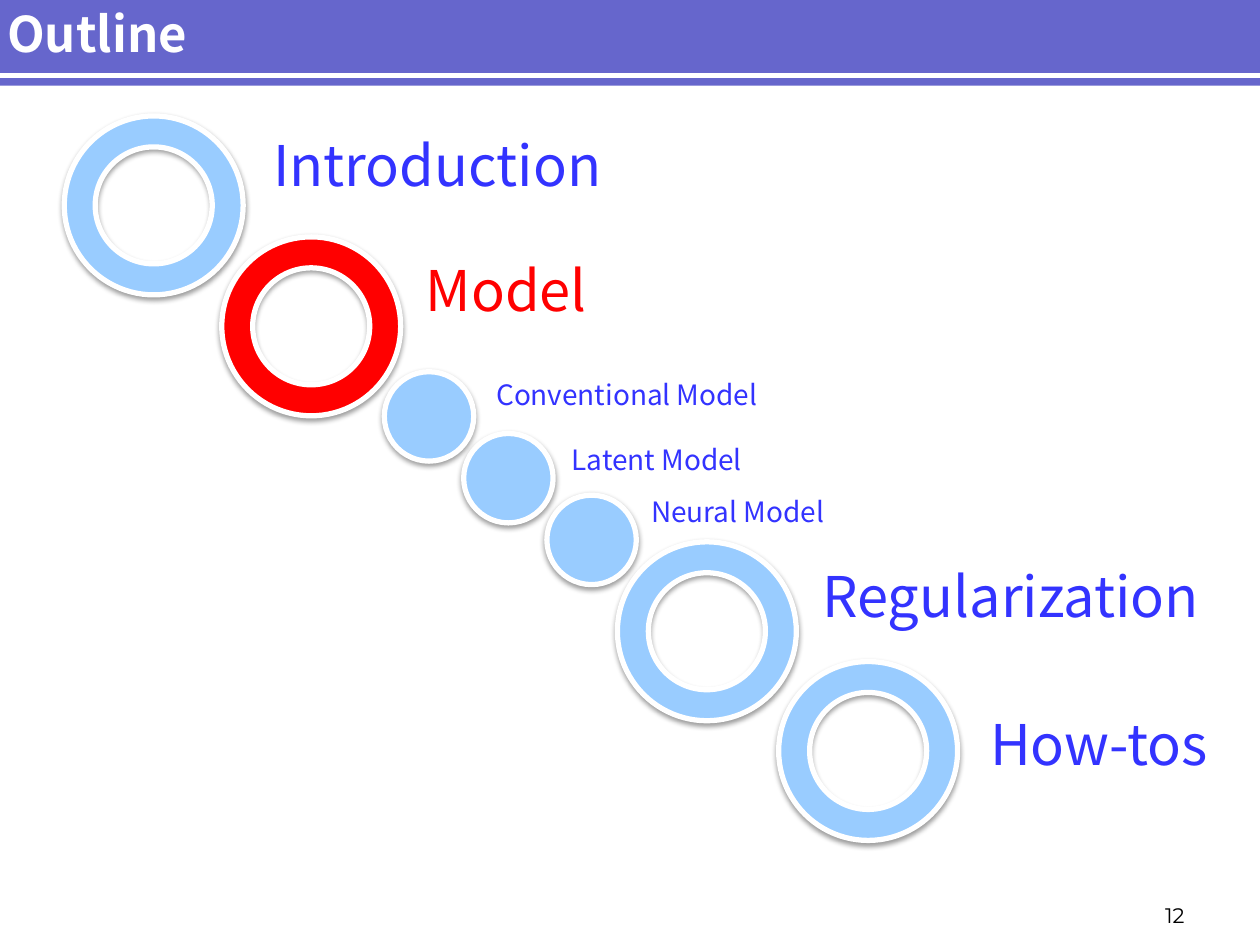
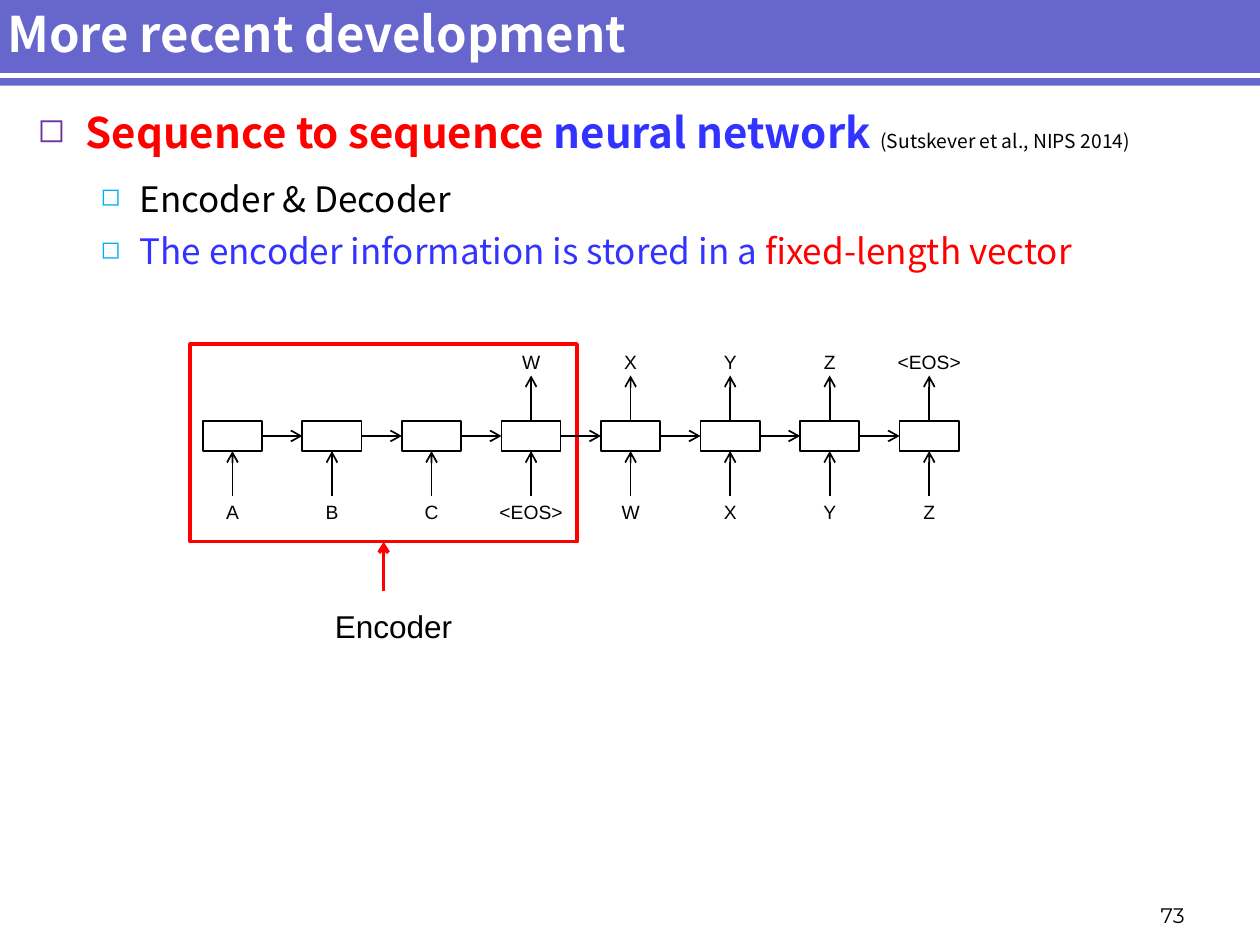
from lxml import etree
from pptx import Presentation
from pptx.dml.color import RGBColor
from pptx.enum.shapes import MSO_CONNECTOR, MSO_SHAPE
from pptx.enum.text import MSO_ANCHOR, PP_ALIGN
from pptx.oxml.ns import qn
from pptx.util import Inches, Pt

RECTANGLE, DONUT, OVAL = MSO_SHAPE.RECTANGLE, MSO_SHAPE.DONUT, MSO_SHAPE.OVAL
STRAIGHT = MSO_CONNECTOR.STRAIGHT
TOP, MIDDLE, BOTTOM = MSO_ANCHOR.TOP, MSO_ANCHOR.MIDDLE, MSO_ANCHOR.BOTTOM
LEFT, CENTER, RIGHT = PP_ALIGN.LEFT, PP_ALIGN.CENTER, PP_ALIGN.RIGHT
SIDE_TOP, SIDE_LEFT, SIDE_BOTTOM, SIDE_RIGHT = range(4)

WHITE = RGBColor(0xFF, 0xFF, 0xFF)
BLACK = RGBColor(0, 0, 0)
RED = RGBColor(0xFF, 0, 0)
BLUE = RGBColor(0x33, 0x33, 0xFF)
SKY = RGBColor(0x99, 0xCC, 0xFF)
BAND = RGBColor(0x66, 0x66, 0xCC)
PURPLE = RGBColor(0x70, 0x30, 0xA0)
CYAN = RGBColor(0, 0xB0, 0xF0)

HEADING_FONT = "Noto Sans CJK SC"
OUTLINE_FONT = "Noto Sans CJK JP"
NUMBER_FONT = "Montserrat"
DIAGRAM_FONT = "Arial"
TIGHT = 0.9


def add_xml(parent, tag, **attributes):
    return etree.SubElement(parent, qn(tag), attributes)


def style_run(run, font, size, color, bold=False):
    run.font.name = font
    run.font.size = Pt(size)
    run.font.color.rgb = color
    run.font.bold = bold


def add_text(slide, box, text, font, size, color, bold=False,
             align=LEFT, anchor=TOP, spacing=1.0):
    frame = slide.shapes.add_textbox(*map(Inches, box)).text_frame
    frame.word_wrap = True
    frame.vertical_anchor = anchor
    paragraph = frame.paragraphs[0]
    paragraph.text = text
    paragraph.alignment = align
    paragraph.line_spacing = spacing
    style_run(paragraph.runs[0], font, size, color, bold)


def add_outlined(slide, kind, box, fill, line, width):
    shape = slide.shapes.add_shape(kind, *map(Inches, box))
    shape.shadow.inherit = False
    if fill is None:
        shape.fill.background()
    else:
        shape.fill.solid()
        shape.fill.fore_color.rgb = fill
    if line is None:
        shape.line.fill.background()
    else:
        shape.line.color.rgb = line
        shape.line.width = Pt(width)
    return shape


def add_line(slide, start, end, color, width, arrow=True):
    line = slide.shapes.add_connector(STRAIGHT, *map(Inches, (*start, *end)))
    line.line.color.rgb = color
    line.line.width = Pt(width)
    if arrow:
        add_xml(line.line._get_or_add_ln(), "a:tailEnd", type="arrow")
    add_xml(line._element.spPr, "a:effectLst")
    return line


def add_slide(deck, title, number):
    slide = deck.slides.add_slide(deck.slide_layouts[6])
    add_outlined(slide, RECTANGLE, (-0.04, -0.03, 10.04, 0.71), BAND, None, 0)
    add_line(slide, (-0.04, 0.6), (10, 0.6), WHITE, 3, arrow=False)
    add_text(slide, (-0.04, 0.05, 10, 0.43), title, HEADING_FONT, 28, WHITE,
             bold=True, anchor=MIDDLE)
    add_text(slide, (8.62, 7.06, 0.88, 0.35), number, NUMBER_FONT, 12, BLACK,
             align=RIGHT, anchor=BOTTOM)
    return slide


def add_soft_shadow(shape):
    effects = shape._element.spPr.find(qn("a:effectLst"))
    shadow = add_xml(effects, "a:outerShdw", blurRad=str(Pt(3.1)), dist=str(Pt(1.6)),
                     dir="5400000", algn="t", rotWithShape="0")
    color = add_xml(shadow, "a:srgbClr", val="000000")
    add_xml(color, "a:alpha", val="38000")


def add_topic(slide, label, left, top, label_dx, label_dy, current=False):
    ring = add_outlined(slide, DONUT, (left, top, 1.42, 1.42),
                        RED if current else SKY, WHITE, 3)
    ring.adjustments[0] = 0.173
    add_soft_shadow(ring)
    label_left = left + label_dx
    add_text(slide, (label_left, top + label_dy, 10 - label_left, 0.64), label,
             OUTLINE_FONT, 32, RED if current else BLUE, spacing=TIGHT)


def add_subtopic(slide, label, left, top, label_dx, label_dy):
    disc = add_outlined(slide, OVAL, (left, top, 0.71, 0.71), SKY, WHITE, 3)
    add_soft_shadow(disc)
    add_text(slide, (left + label_dx, top + label_dy, 2.82, 0.37), label,
             OUTLINE_FONT, 16, BLUE, spacing=TIGHT)


def build_outline(deck):
    slide = add_slide(deck, "Outline", "12")
    add_topic(slide, "Introduction", 0.51, 0.92, 1.56, 0.13)
    add_topic(slide, "Model", 1.76, 1.88, 1.52, 0.16, current=True)
    add_topic(slide, "Regularization", 4.9, 4.3, 1.53, 0.17)
    add_topic(slide, "How-tos", 6.18, 5.25, 1.58, 0.39)
    add_subtopic(slide, "Neural Model", 4.34, 3.93, 0.73, -0.02)
    add_subtopic(slide, "Latent Model", 3.68, 3.44, 0.76, 0.05)
    add_subtopic(slide, "Conventional Model", 3.05, 2.95, 0.79, 0.03)


def add_network(slide, left, top):
    pitch, cell_width, cell_height, reach = 0.79, 0.47, 0.24, 0.36
    inputs = ["A", "B", "C", "<EOS>", "W", "X", "Y", "Z"]
    outputs = [None, None, None, "W", "X", "Y", "Z", "<EOS>"]
    previous = None
    for column, (source, result) in enumerate(zip(inputs, outputs)):
        cell_left = left + column * pitch
        center = cell_left + cell_width / 2
        bottom = top + cell_height
        middle = top + cell_height / 2
        label_left = center - pitch / 2
        cell = add_outlined(slide, RECTANGLE, (cell_left, top, cell_width, cell_height),
                            None, BLACK, 1)
        if previous is not None:
            step = add_line(slide, (cell_left - pitch + cell_width, middle),
                            (cell_left, middle), BLACK, 1)
            step.begin_connect(previous, SIDE_RIGHT)
            step.end_connect(cell, SIDE_LEFT)
        feed = add_line(slide, (center, bottom + reach), (center, bottom), BLACK, 1)
        feed.end_connect(cell, SIDE_BOTTOM)
        add_text(slide, (label_left, top + 0.58, pitch, 0.29), source,
                 DIAGRAM_FONT, 11, BLACK, align=CENTER)
        if result:
            emit = add_line(slide, (center, top), (center, top - reach), BLACK, 1)
            emit.begin_connect(cell, SIDE_TOP)
            add_text(slide, (label_left, top - 0.61, pitch, 0.29), result,
                     DIAGRAM_FONT, 11, BLACK, align=CENTER)
        previous = cell


def add_encoder_frame(slide, left, top, width, height):
    frame = add_outlined(slide, RECTANGLE, (left, top, width, height), None, RED, 2)
    center, bottom = left + width / 2, top + height
    pointer = add_line(slide, (center, bottom + 0.39), (center, bottom), RED, 2)
    pointer.end_connect(frame, SIDE_BOTTOM)
    add_text(slide, (left + 1.05, bottom + 0.47, 1.34, 0.4), "Encoder",
             DIAGRAM_FONT, 18, BLACK)


def add_bullet(paragraph, level, runs):
    indent, hanging, color, percent, after = [
        (0.38, 0.38, PURPLE, 80, 12),
        (0.81, 0.31, CYAN, 70, 6),
    ][level]
    properties = paragraph._p.get_or_add_pPr()
    properties.set("marL", str(Inches(indent)))
    properties.set("indent", str(-Inches(hanging)))
    add_xml(add_xml(properties, "a:buClr"), "a:srgbClr", val=str(color))
    add_xml(properties, "a:buSzPct", val=str(percent * 1000))
    add_xml(properties, "a:buChar", char="◻")
    paragraph.level = level
    paragraph.line_spacing = TIGHT
    paragraph.space_after = Pt(after)
    if level:
        paragraph.space_before = Pt(2.3)
    for text, size, run_color, bold in runs:
        run = paragraph.add_run()
        run.text = text
        style_run(run, HEADING_FONT, size, run_color, bold)


def add_bullets(slide, box):
    points = [
        (0, [("Sequence to sequence ", 24, RED, True),
             ("neural network ", 24, BLUE, True),
             ("(Sutskever et al., NIPS 2014)", 11, BLACK, False)]),
        (1, [("Encoder & Decoder", 20, BLACK, False)]),
        (1, [("The encoder information is stored in a ", 20, BLUE, False),
             ("fixed-length vector", 20, RED, False)]),
    ]
    frame = slide.shapes.add_textbox(*map(Inches, box)).text_frame
    frame.word_wrap = True
    for index, (level, runs) in enumerate(points):
        paragraph = frame.add_paragraph() if index else frame.paragraphs[0]
        add_bullet(paragraph, level, runs)


def build_development(deck):
    slide = add_slide(deck, "More recent development", "73")
    add_encoder_frame(slide, 1.51, 2.73, 3.07, 1.57)
    add_network(slide, 1.61, 3.34)
    add_bullets(slide, (0.2, 0.84, 9.45, 1.7))


def main():
    deck = Presentation()
    deck.slide_width = Inches(10)
    deck.slide_height = Inches(7.5)
    build_outline(deck)
    build_development(deck)
    deck.save("out.pptx")


if __name__ == "__main__":
    main()
